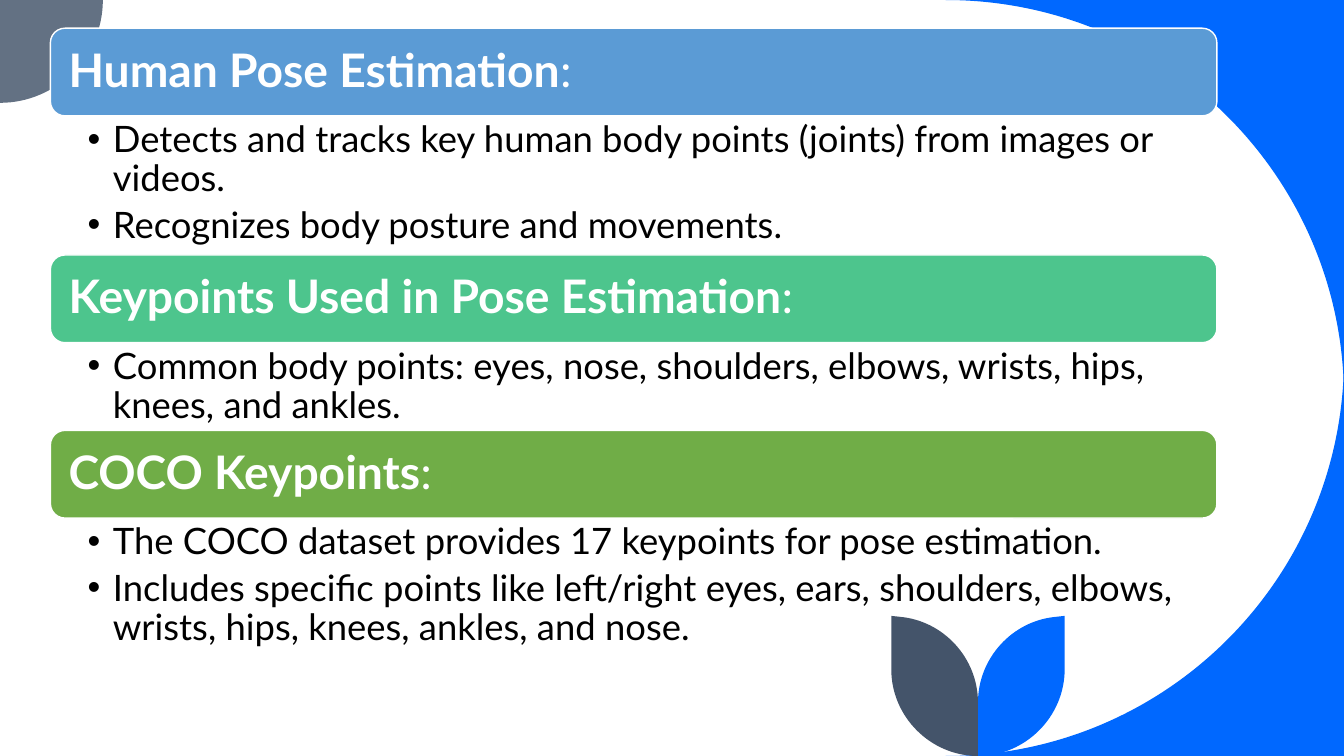
from dataclasses import dataclass

from lxml import etree
from pptx import Presentation
from pptx.dml.color import RGBColor
from pptx.enum import shapes, text
from pptx.oxml.ns import qn
from pptx.util import Inches, Pt

SECTIONS = [
    ("Human Pose Estimation", "5B9BD5", 1.38, [
        "Detects and tracks key human body points (joints) from images or videos.",
        "Recognizes body posture and movements.",
    ]),
    ("Keypoints Used in Pose Estimation", "4DC58D", 0.87, [
        "Common body points: eyes, nose, shoulders, elbows, wrists, hips, knees, and ankles.",
    ]),
    ("COCO Keypoints", "70AD47", 1.38, [
        "The COCO dataset provides 17 keypoints for pose estimation.",
        "Includes specific points like left/right eyes, ears, shoulders, elbows, "
        "wrists, hips, knees, ankles, and nose.",
    ]),
]

WIDTH, HEIGHT = 13.33, 7.5
STEM = 9.7
CORNER = [(13.33, 0), (9.38, 0), (11.57, 0, 13.33, 1.77, 13.33, 3.95)]
QUARTER = [(0, 0), (1.02, 0), (1.02, 0.56, 0.56, 1.02, 0, 1.02)]
LEAF = [(10.56, 6.11), (10.56, 6.64), (10.56, 7.11, 10.17, 7.5, 9.7, 7.5),
        (9.7, 6.97), (9.7, 6.53, 10.04, 6.16, 10.47, 6.12)]


@dataclass(frozen=True)
class Theme:
    font: str = "Lato"
    heading_size: int = 33
    list_size: int = 26
    blue: str = "0068FF"
    grey: str = "637183"
    slate: str = "44546A"
    white: str = "FFFFFF"
    black: str = "000000"


THEME = Theme()


def mirror(outline, horizontal=None, vertical=None):
    def flip(step):
        return tuple(
            axis - value if axis is not None else value
            for value, axis in zip(step, (horizontal, vertical) * 3)
        )
    return [flip(step) for step in outline]


def paint(shape, color):
    shape.shadow.inherit = False
    shape.fill.solid()
    shape.fill.fore_color.rgb = RGBColor.from_string(color)


def add_petal(page, outline, color):
    corners = [(Inches(step[-2]), Inches(step[-1])) for step in outline]
    builder = page.shapes.build_freeform(*corners[0], scale=1.0)
    builder.add_line_segments(corners[1:], close=True)
    petal = builder.convert_to_shape()
    lines = list(petal._element.iter(qn("a:lnTo")))
    for line, step in zip(lines, outline[1:]):
        if len(step) == 6:
            curve = etree.Element(qn("a:cubicBezTo"))
            for x, y in zip(step[::2], step[1::2]):
                point = etree.SubElement(curve, qn("a:pt"))
                point.set("x", str(Inches(x) - petal.left))
                point.set("y", str(Inches(y) - petal.top))
            line.getparent().replace(line, curve)
    paint(petal, color)
    petal.line.fill.background()


def add_bar(page, left, top, width, height, color):
    bar = page.shapes.add_shape(
        shapes.MSO_SHAPE.ROUNDED_RECTANGLE,
        Inches(left), Inches(top), Inches(width), Inches(height))
    paint(bar, color)
    bar.line.color.rgb = RGBColor.from_string(THEME.white)
    bar.line.width = Pt(1)


def place(page, box, left, top, width, height, insets, anchor):
    page.shapes._spTree.append(box._element)
    box.left, box.top = Inches(left), Inches(top)
    box.width, box.height = Inches(width), Inches(height)
    frame = box.text_frame
    frame.word_wrap = True
    frame.auto_size = text.MSO_AUTO_SIZE.NONE
    frame.vertical_anchor = anchor
    (frame.margin_left, frame.margin_top,
     frame.margin_right, frame.margin_bottom) = map(Inches, insets)


def write(para, spans, size, color, after, bullet=None):
    para.alignment = text.PP_ALIGN.LEFT
    para.line_spacing = 0.9
    para.space_before = Pt(0)
    para.space_after = Pt(size * after)
    indent = Inches(0.25) if bullet else 0
    properties = para._p.get_or_add_pPr()
    properties.set("marL", str(indent))
    properties.set("indent", str(-indent))
    if bullet:
        para.level = 1
        etree.SubElement(properties, qn("a:buFont")).set("typeface", "Arial")
        etree.SubElement(properties, qn("a:buChar")).set("char", bullet)
    else:
        etree.SubElement(properties, qn("a:buNone"))
    for words, bold in spans:
        span = para.add_run()
        span.text = words
        span.font.name = THEME.font
        span.font.size = Pt(size)
        span.font.bold = bold
        span.font.color.rgb = RGBColor.from_string(color)


def main():
    deck = Presentation()
    deck.slide_width, deck.slide_height = Inches(WIDTH), Inches(HEIGHT)
    page = deck.slides.add_slide(deck.slide_layouts.get_by_name("Comparison"))
    title, second, first_list, third, second_list = [
        box for box in page.placeholders if box.placeholder_format.idx < 5]
    headings = [title, second, third]
    lists = [first_list, second_list, page.shapes.add_textbox(0, 0, 0, 0)]

    for outline, color in [
        (CORNER, THEME.blue),
        (mirror(CORNER, vertical=HEIGHT), THEME.blue),
        (QUARTER, THEME.grey),
        (LEAF, THEME.blue),
        (mirror(LEAF, horizontal=2 * STEM), THEME.slate),
    ]:
        add_petal(page, outline, color)

    left, top, width, bar_height, inset = 0.5, 0.28, 11.57, 0.87, 0.04
    for (heading, color, list_height, points), head, body in zip(SECTIONS, headings, lists):
        add_bar(page, left, top, width, bar_height, color)
        place(page, head, left + inset, top + inset, width - 2 * inset,
              bar_height - 2 * inset, (0.14,) * 4, text.MSO_ANCHOR.MIDDLE)
        write(head.text_frame.paragraphs[0], [(heading, True), (":", False)],
              THEME.heading_size, THEME.white, 0.35)
        top += bar_height
        place(page, body, left, top, width, list_height,
              (0.37, 0.05, 0.26, 0.05), text.MSO_ANCHOR.TOP)
        frame = body.text_frame
        for index, point in enumerate(points):
            para = frame.add_paragraph() if index else frame.paragraphs[0]
            write(para, [(point, False)], THEME.list_size, THEME.black, 0.2, "•")
        top += list_height

    deck.save("out.pptx")


if __name__ == "__main__":
    main()
